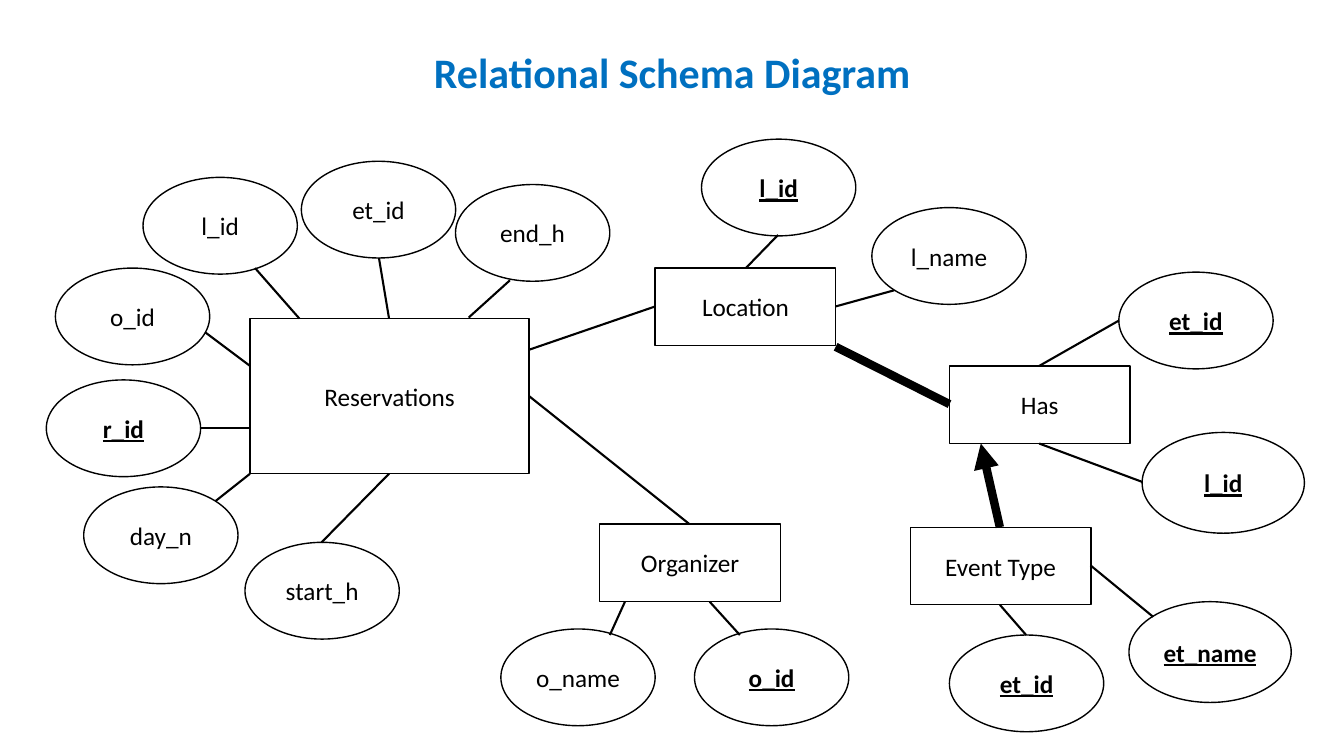
from dataclasses import dataclass

from lxml.etree import SubElement
from pptx import Presentation
from pptx.dml.color import RGBColor
from pptx.enum.shapes import MSO_CONNECTOR as Connector, MSO_SHAPE as Preset
from pptx.enum.text import MSO_ANCHOR as Anchor, MSO_AUTO_SIZE as AutoSize, PP_ALIGN as Align
from pptx.oxml.ns import qn
from pptx.util import Pt


@dataclass(frozen=True)
class Theme:
    """Colours, type sizes, line widths and standard shape sizes."""
    font: str = "Calibri"
    ink: RGBColor = RGBColor(0, 0, 0)
    paper: RGBColor = RGBColor(255, 255, 255)
    accent: RGBColor = RGBColor(0, 0x70, 0xC0)
    title_size: float = 30
    label_size: float = 18
    outline: float = 1
    thin: float = 1.5
    thick: float = 6
    entity: tuple = (129, 55.4)
    large_entity: tuple = (199.4, 110.9)
    attribute: tuple = (110.2, 69.1)
    large_attribute: tuple = (115.9, 72)


THEME = Theme()

ENTITIES = [
    ("Organizer", (428.4, 374.4), THEME.entity),
    ("Location", (468, 191.5), THEME.entity),
    ("Event Type", (650.2, 376.6), THEME.entity),
    ("Reservations", (178.6, 227.5), THEME.large_entity),
    ("Has", (678.2, 261.4), THEME.entity),
]

ATTRIBUTES = [
    ("o_name", (357.8, 449.3), THEME.attribute, (435.6, 453.6), (446.4, 429.8)),
    ("o_id", (39.6, 191.5), THEME.attribute, (146.9, 237.6), (178.6, 261.4)),
    ("l_id", (102.2, 126.7), THEME.attribute, (182.2, 191.5), (213.8, 227.5)),
    ("start_h", (175, 387.4), THEME.attribute, (229.7, 387.4), (277.9, 338.4)),
    ("end_h", (325.4, 131.8), THEME.attribute, (364.3, 200.2), (334.8, 226.8)),
    ("day_n", (59.8, 347.8), THEME.attribute, (154.1, 357.8), (178.6, 338.4)),
    ("et_id", (215.3, 115.2), THEME.attribute, (270.7, 184.3), (277.9, 227.5)),
    ("l_name", (622.8, 148.3), THEME.attribute, (638.6, 207.4), (596.9, 218.9)),
]

KEY_ATTRIBUTES = [
    ("o_id", (496.1, 449.3), THEME.attribute, (528.5, 453.6), (506.9, 429.8)),
    ("r_id", (33.1, 271.4), THEME.attribute, (142.6, 306), (178.6, 306)),
    ("l_id", (501.1, 99.4), THEME.attribute, (555.8, 167.8), (532.8, 191.5)),
    ("et_id", (799.2, 194.4), THEME.attribute, (799.2, 229), (742.3, 261.4)),
    ("l_id", (815.8, 308.9), THEME.large_attribute, (815.8, 344.2), (742.3, 316.8)),
    ("et_id", (678.2, 453.6), THEME.attribute, (733, 453.6), (714.2, 432)),
    ("et_name", (806.4, 429.8), THEME.large_attribute, (823.7, 440.6), (779, 403.9)),
]

RELATIONS = [
    ((378, 283), (492.5, 374.4), THEME.thin, False),
    ((378, 249.8), (468, 218.9), THEME.thin, False),
    ((596.9, 247.7), (678.2, 288.7), THEME.thick, False),
    ((714.2, 376.6), (700.6, 316.8), THEME.thick, True),
]


def apply_format(target, values):
    """Set every attribute named in a dict of format values."""
    for name, value in values.items():
        setattr(target, name, value)


def write_text(shape, text, size, color, anchor, **font_values):
    """Fill a shape with one centred line of text."""
    frame = shape.text_frame
    apply_format(frame, {"vertical_anchor": anchor, "word_wrap": False,
                         "auto_size": AutoSize.NONE})
    paragraph = frame.paragraphs[0]
    paragraph.alignment = Align.CENTER
    run = paragraph.add_run()
    run.text = text
    apply_format(run.font, {"name": THEME.font, "size": Pt(size), **font_values})
    run.font.color.rgb = color


def add_title(slide, text):
    """Place and format the title placeholder."""
    title = slide.shapes.title
    apply_format(title, {"left": Pt(301), "top": Pt(29.5),
                         "width": Pt(358.6), "height": Pt(43.9)})
    write_text(title, text, THEME.title_size, THEME.accent, Anchor.TOP, bold=True)


def add_node(slide, preset, text, position, size, **font_values):
    """Add an outlined shape with a centred label."""
    shape = slide.shapes.add_shape(preset, *map(Pt, position + size))
    shape.shadow.inherit = False
    shape.fill.solid()
    shape.fill.fore_color.rgb = THEME.paper
    shape.line.color.rgb = THEME.ink
    shape.line.width = Pt(THEME.outline)
    write_text(shape, text, THEME.label_size, THEME.ink, Anchor.MIDDLE, **font_values)


def add_link(slide, start, end, width=THEME.thin, arrow=False):
    """Add a straight link, with an arrowhead at its end on request."""
    link = slide.shapes.add_connector(Connector.STRAIGHT, *map(Pt, start + end))
    link.line.color.rgb = THEME.ink
    link.line.width = Pt(width)
    if arrow:
        SubElement(link.line._get_or_add_ln(), qn("a:tailEnd"), type="triangle")
    SubElement(link._element.spPr, qn("a:effectLst"))


def add_attributes(slide, attributes, **font_values):
    """Add attribute ellipses and link each one to its entity."""
    for text, position, size, start, end in attributes:
        add_node(slide, Preset.OVAL, text, position, size, **font_values)
        add_link(slide, start, end)


def main():
    """Build the diagram slide and save it."""
    presentation = Presentation()
    apply_format(presentation, {"slide_width": Pt(960), "slide_height": Pt(540)})
    slide = presentation.slides.add_slide(presentation.slide_layouts[5])
    add_title(slide, "Relational Schema Diagram")
    for text, position, size in ENTITIES:
        add_node(slide, Preset.RECTANGLE, text, position, size)
    add_attributes(slide, ATTRIBUTES)
    add_attributes(slide, KEY_ATTRIBUTES, bold=True, underline=True)
    for start, end, width, arrow in RELATIONS:
        add_link(slide, start, end, width, arrow)
    presentation.save("out.pptx")


if __name__ == "__main__":
    main()
